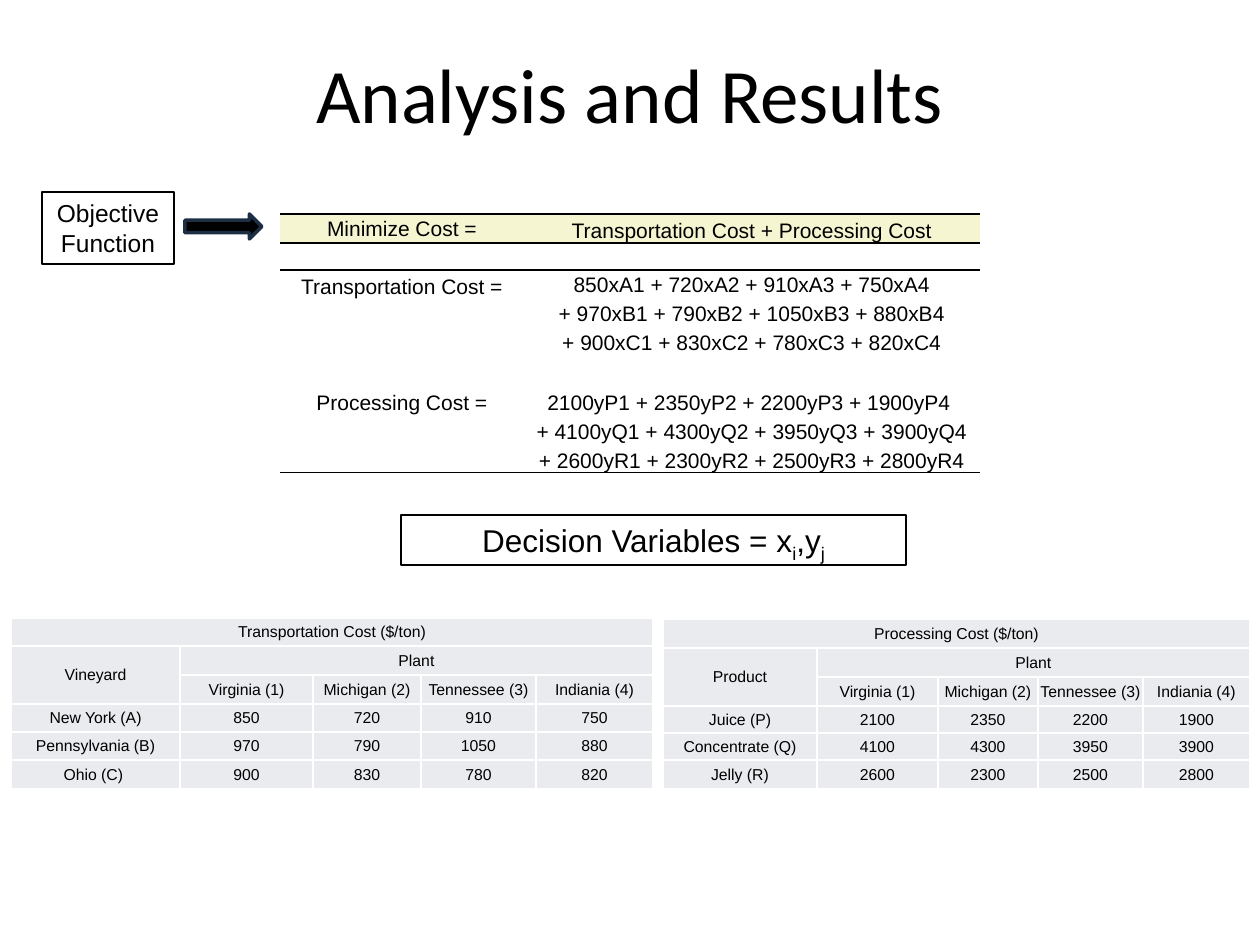
from lxml.etree import SubElement as Sub
from pptx import Presentation
from pptx.dml.color import RGBColor as Rgb
from pptx.enum.shapes import MSO_SHAPE as Kind
from pptx.enum.text import MSO_ANCHOR as Anchor, PP_ALIGN as Align
from pptx.oxml.ns import qn
from pptx.util import Pt

SCALE = 914400 / 126
BLACK, WHITE, CREAM, GREY = "000000", "FFFFFF", "F6F5D1", "E9EBEF"
SIDES = "LRTB"
ANCHORS = {"m": Anchor.MIDDLE, "b": Anchor.BOTTOM}
STATES = ["Virginia (1)", "Michigan (2)", "Tennessee (3)", "Indiania (4)"]

MODEL = [
    ("Minimize Cost =", "Transportation Cost + Processing Cost", "mb"),
    ("", "", "mm"),
    ("Transportation Cost =", "850xA1 + 720xA2 + 910xA3 + 750xA4", "bm"),
    ("", "+ 970xB1 + 790xB2 + 1050xB3 + 880xB4", "mm"),
    ("", "+ 900xC1 + 830xC2 + 780xC3 + 820xC4", "mm"),
    ("", "", "mm"),
    ("Processing Cost =", "2100yP1 + 2350yP2 + 2200yP3 + 1900yP4 ", "bb"),
    ("", "+ 4100yQ1 + 4300yQ2 + 3950yQ3 + 3900yQ4", "mb"),
    ("", "+ 2600yR1 + 2300yR2 + 2500yR3 + 2800yR4", "mb"),
]
RULES = {
    0: {"T": 1.5, "B": 1.5},
    1: {"T": 1.5, "B": 1.5},
    2: {"T": 1.5},
    8: {"B": 1},
}
FREIGHT = [
    ("New York (A)", 850, 720, 910, 750),
    ("Pennsylvania (B)", 970, 790, 1050, 880),
    ("Ohio (C) ", 900, 830, 780, 820),
]
MAKING = [
    ("Juice (P)", 2100, 2350, 2200, 1900),
    ("Concentrate (Q)", 4100, 4300, 3950, 3900),
    ("Jelly (R)", 2600, 2300, 2500, 2800),
]


def px(num):
    """Turn pixels into EMU."""
    return round(num * SCALE)


def color(code):
    """Turn a hex string into a colour."""
    return Rgb.from_string(code)


def put(item, vals):
    """Set each attribute of item from a dict."""
    for key, val in vals.items():
        setattr(item, key, val)


def paint(fill, code):
    """Fill with a solid colour, or with none."""
    if code:
        fill.solid()
        fill.fore_color.rgb = color(code)
    else:
        fill.background()


def write(frame, lines, size, face="Arial"):
    """Write centred lines of (text, baseline) runs into a frame."""
    for num, line in enumerate(lines):
        para = frame.add_paragraph() if num else frame.paragraphs[0]
        para.alignment = Align.CENTER
        para._p.get_or_add_endParaRPr().set("sz", str(size * 100))
        for text, base in line:
            if not text:
                continue
            run = para.add_run()
            run.text = text
            put(run.font, {"size": Pt(size), "name": face})
            run.font.color.rgb = color(BLACK)
            if base:
                run._r.get_or_add_rPr().set("baseline", str(base * 1000))


def add_title(slide, box, text):
    """Add the slide title."""
    frame = slide.shapes.add_textbox(*map(px, box)).text_frame
    put(frame, {"word_wrap": True, "vertical_anchor": Anchor.MIDDLE})
    write(frame, [[(text, 0)]], 44, "Calibri")


def add_form(slide, kind, box, fill=None, line=BLACK, width=1.5):
    """Add a flat preset shape."""
    form = slide.shapes.add_shape(kind, *map(px, box))
    form.shadow.inherit = False
    paint(form.fill, fill)
    form.line.color.rgb = color(line)
    form.line.width = Pt(width)
    return form


def add_label(slide, box, lines, size):
    """Add an outlined box with text."""
    frame = add_form(slide, Kind.RECTANGLE, box).text_frame
    put(frame, {"word_wrap": True, "vertical_anchor": Anchor.TOP})
    write(frame, lines, size)


def edge(cell, sides, code):
    """Draw the given sides of a cell and clear the others."""
    props = cell._tc.get_or_add_tcPr()
    for side in SIDES:
        width = sides.get(side, 0)
        line = Sub(props, qn(f"a:ln{side}"), w=str(Pt(width)))
        if width:
            fill = Sub(line, qn("a:solidFill"))
            Sub(fill, qn("a:srgbClr"), val=code)
        else:
            Sub(line, qn("a:noFill"))


def add_grid(slide, spot, cols, rows):
    """Add a plain table with the given column and row sizes."""
    box = (*spot, sum(cols), sum(rows))
    grid = slide.shapes.add_table(len(rows), len(cols), *map(px, box)).table
    put(grid, {"first_row": False, "horz_banding": False})
    for col, width in zip(grid.columns, cols):
        col.width = px(width)
    for row, height in zip(grid.rows, rows):
        row.height = px(height)
    return grid


def fill_cell(cell, text, size, fill, sides, code, anchor="m"):
    """Give a cell its text, borders and fill."""
    put(cell, {
        "margin_left": px(1), "margin_right": px(1),
        "margin_top": px(1), "margin_bottom": 0,
        "vertical_anchor": ANCHORS[anchor],
    })
    write(cell.text_frame, [[(str(text), 0)]], size)
    edge(cell, sides, code)
    paint(cell.fill, fill)


def add_model(slide):
    """Add the table of cost formulas."""
    grid = add_grid(slide, (280, 214), (244, 456), [29, 27] + [29] * 7)
    for row, (*texts, marks) in enumerate(MODEL):
        for col, text in enumerate(texts):
            fill_cell(grid.cell(row, col), text, 12, None if row else CREAM,
                      RULES.get(row, {}), BLACK, marks[col])


def add_costs(slide, spot, cols, rows, title, head, data):
    """Add a table of unit costs by plant."""
    grid = add_grid(slide, spot, cols, rows)
    blank = [""] * 3
    texts = [[title, *blank, ""], [head, "Plant", *blank], ["", *STATES], *data]
    for row, line in enumerate(texts):
        for col, text in enumerate(line):
            fill_cell(grid.cell(row, col), text, 9, GREY,
                      dict.fromkeys(SIDES, 1), WHITE)
    for start, end in (((0, 0), (0, 4)), ((1, 0), (2, 0)), ((1, 1), (1, 4))):
        grid.cell(*start).merge(grid.cell(*end))


def main():
    """Build the slide and save it."""
    deck = Presentation()
    put(deck, {"slide_width": px(1260), "slide_height": px(945)})
    slide = deck.slides.add_slide(deck.slide_layouts[6])
    add_title(slide, (63, 14, 1134, 158), "Analysis and Results")
    add_model(slide)
    add_label(slide, (42, 192, 132, 72),
              [[("Objective ", 0)], [("Function", 0)]], 14)
    add_form(slide, Kind.RIGHT_ARROW, (185, 214, 77, 25), BLACK, "1C2E44", 2)
    add_costs(slide, (11, 618), (169, 133, 108, 115, 117),
              (28, 29, 29, 28, 28, 29),
              "Transportation Cost ($/ton)", "Vineyard", FREIGHT)
    add_costs(slide, (663, 619), (154, 121, 100, 105, 107),
              (29, 29, 29, 27, 27, 29),
              "Processing Cost ($/ton)", "Product", MAKING)
    add_label(slide, (401, 515, 505, 50), [[
        ("Decision Variables = x", 0), ("i", -25), (",y", 0), ("j", -25),
    ]], 18)
    deck.save("out.pptx")


if __name__ == "__main__":
    main()
